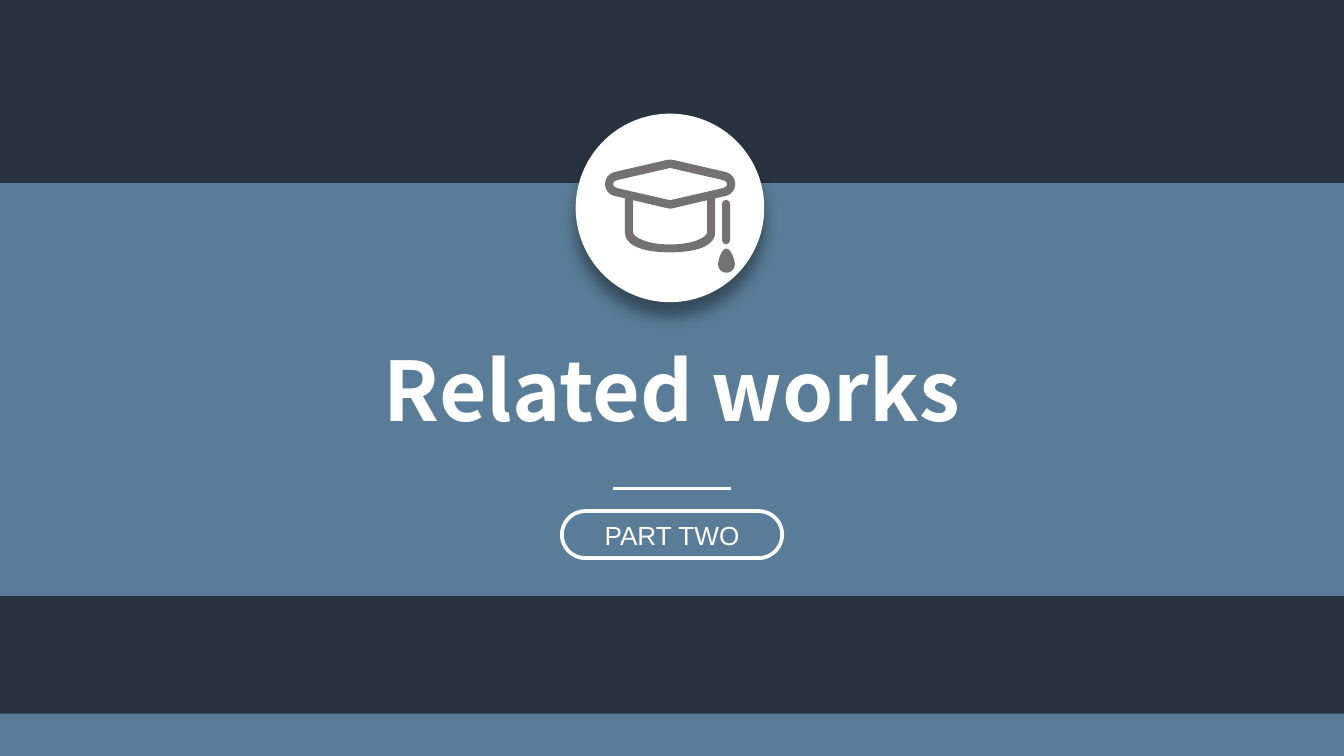
"""Build the section slide "Related works" with its graduation cap badge."""
from dataclasses import dataclass

from lxml import etree
from pptx import Presentation
from pptx.dml.color import RGBColor
from pptx.enum.shapes import MSO_CONNECTOR, MSO_SHAPE
from pptx.enum.text import MSO_ANCHOR, MSO_AUTO_SIZE, PP_ALIGN
from pptx.oxml.ns import qn
from pptx.util import Pt

RECTANGLE, OVAL = MSO_SHAPE.RECTANGLE, MSO_SHAPE.OVAL
ROUNDED = MSO_SHAPE.ROUNDED_RECTANGLE
STRAIGHT = MSO_CONNECTOR.STRAIGHT
CENTER, MIDDLE = PP_ALIGN.CENTER, MSO_ANCHOR.MIDDLE
GROW = MSO_AUTO_SIZE.SHAPE_TO_FIT_TEXT

COLORS = {"navy": "29323F", "blue": "597D98", "white": "FFFFFF",
          "gray": "767171", "shadow": "000000"}
WIDTH, HEIGHT = 720, 405

TITLE_FORMAT = {"name": "Noto Sans CJK SC", "size": Pt(44), "bold": True}
PART_FORMAT = {"name": "Arial", "size": Pt(14)}


@dataclass
class Block:
    kind: int
    left: float
    top: float
    width: float
    height: float
    fill: str | None = None
    outline: float = 0


@dataclass
class HalfOutline:
    """Right half of a symmetric outline: lines (one point) and curves (three)."""
    start: tuple
    segments: list


STRIPE = Block(RECTANGLE, 0, 382.3, WIDTH, HEIGHT - 382.3, "blue")
BAND = Block(RECTANGLE, 0, 98.1, WIDTH, 221.2, "blue")
BADGE = Block(OVAL, 308.4, 60.9, 101, 101, "white")
PART_PILL = Block(ROUNDED, 301, 273.8, 118, 25.2, outline=2)

CAP_AXIS, CORD_AXIS, DROP_AXIS = 359, 389, 389.2
CAP = [
    HalfOutline((0, 85.5), [
        [(0.7, 85.5), (1.4, 85.6), (1.8, 85.7)],
        [(29.9, 92.2)],
        [(32.8, 92.9), (34.9, 95.5), (34.9, 98.6)],
        [(34.9, 101.7), (32.8, 104.3), (29.9, 105)],
        [(24.2, 106.2)],
        [(24.2, 124.6)],
        [(24.2, 130.3), (17.3, 135.2), (0, 135.2)]]),
    HalfOutline((0, 90), [
        [(28.3, 96.5)],
        [(29.7, 96.8), (30.6, 97.6), (30.6, 98.6)],
        [(30.6, 99.6), (29.7, 100.5), (28.3, 100.8)],
        [(0, 107.3)]]),
    HalfOutline((0, 111.8), [
        [(1.4, 111.6)],
        [(19.8, 107.3)],
        [(19.8, 124.6)],
        [(19.8, 126.7), (13.3, 131), (0, 131)]]),
]
CORD = [HalfOutline((0, 107.1), [
    [(1.2, 107.1), (2.2, 108.1), (2.2, 109.3)],
    [(2.2, 128.7)],
    [(2.2, 129.9), (1.2, 130.9), (0, 130.9)]])]
DROP = [HalfOutline((0, 133.2), [
    [(2.6, 133.2), (4.5, 139.5), (4.5, 141.8)],
    [(4.5, 144.1), (2.6, 146.1), (0, 146.1)]])]


def rgb(name: str) -> RGBColor:
    """Return the named colour."""
    return RGBColor.from_string(COLORS[name])


def draw_block(slide, block: Block):
    """Draw a preset shape with an optional fill and white outline."""
    shape = slide.shapes.add_shape(block.kind, Pt(block.left), Pt(block.top),
                                   Pt(block.width), Pt(block.height))
    shape.shadow.inherit = False
    if block.kind == ROUNDED:
        shape.adjustments[0] = 0.5
    if block.fill:
        shape.fill.solid()
        shape.fill.fore_color.rgb = rgb(block.fill)
    else:
        shape.fill.background()
    if block.outline:
        shape.line.color.rgb = rgb("white")
        shape.line.width = Pt(block.outline)
    else:
        shape.line.fill.background()
    return shape


def add_shadow(shape) -> None:
    """Give the shape a soft shadow that falls straight down."""
    effects = shape._element.spPr.find(qn("a:effectLst"))
    shadow = etree.SubElement(effects, qn("a:outerShdw"), blurRad=str(Pt(8)),
                              dist=str(Pt(8)), dir="5400000", rotWithShape="0")
    color = etree.SubElement(shadow, qn("a:srgbClr"), val=COLORS["shadow"])
    etree.SubElement(color, qn("a:alpha"), val="40000")


def full_outline(half: HalfOutline, center: float) -> list:
    """Return the segments of both halves in slide coordinates."""
    mirrored, start = [], half.start
    for segment in half.segments:
        reverse = [*segment[-2::-1], start] if len(segment) > 1 else [start]
        mirrored.insert(0, [(-x, y) for x, y in reverse])
        start = segment[-1]
    return [[(Pt(center + x), Pt(y)) for x, y in segment]
            for segment in half.segments + mirrored]


def bend(shape, segments: list) -> None:
    """Turn the straight steps that stand for curves into cubic curves."""
    for step, segment in zip(list(shape._element.iter(qn("a:lnTo"))), segments):
        if len(segment) == 3:
            step.tag = qn("a:cubicBezTo")
            for index, (x, y) in enumerate(segment[:2]):
                step.insert(index, step.makeelement(
                    qn("a:pt"), x=str(x - shape.left), y=str(y - shape.top)))


def draw_symmetric(slide, halves: list[HalfOutline], center: float) -> None:
    """Draw outlines as one gray freeform, the inner ones as holes."""
    outlines = [full_outline(half, center) for half in halves]
    builder = slide.shapes.build_freeform(*outlines[0][-1][-1])
    for index, outline in enumerate(outlines):
        if index:
            builder.move_to(*outline[-1][-1])
        builder.add_line_segments([segment[-1] for segment in outline])
    shape = builder.convert_to_shape()
    bend(shape, sum(outlines, []))
    shape.shadow.inherit = False
    shape.fill.solid()
    shape.fill.fore_color.rgb = rgb("gray")
    shape.line.fill.background()


def write_text(shape, text: str, formats: dict) -> None:
    """Write one centred white paragraph."""
    paragraph = shape.text_frame.paragraphs[0]
    paragraph.alignment = CENTER
    run = paragraph.add_run()
    run.text = text
    run.font.color.rgb = rgb("white")
    for name, value in formats.items():
        setattr(run.font, name, value)


def draw_title(slide, text: str) -> None:
    """Draw the slide title."""
    box = slide.shapes.add_textbox(Pt(195.1), Pt(178.2), Pt(329.8), Pt(60.5))
    box.text_frame.word_wrap = False
    box.text_frame.auto_size = GROW
    write_text(box, text, TITLE_FORMAT)


def draw_rule(slide) -> None:
    """Draw the short line under the title."""
    rule = slide.shapes.add_connector(STRAIGHT, Pt(328.4), Pt(261.5),
                                      Pt(391.6), Pt(261.5))
    rule.line.color.rgb = rgb("white")
    rule.line.width = Pt(1.5)
    etree.SubElement(rule._element.spPr, qn("a:effectLst"))


def main() -> None:
    """Build and save the slide."""
    presentation = Presentation()
    presentation.slide_width, presentation.slide_height = Pt(WIDTH), Pt(HEIGHT)
    slide = presentation.slides.add_slide(presentation.slide_layouts[6])
    slide.background.fill.solid()
    slide.background.fill.fore_color.rgb = rgb("navy")
    for block in (STRIPE, BAND):
        draw_block(slide, block)
    add_shadow(draw_block(slide, BADGE))
    for halves, axis in ((CAP, CAP_AXIS), (CORD, CORD_AXIS), (DROP, DROP_AXIS)):
        draw_symmetric(slide, halves, axis)
    draw_title(slide, "Related works")
    draw_rule(slide)
    pill = draw_block(slide, PART_PILL)
    pill.text_frame.vertical_anchor = MIDDLE
    write_text(pill, "PART TWO", PART_FORMAT)
    presentation.save("out.pptx")


if __name__ == "__main__":
    main()
